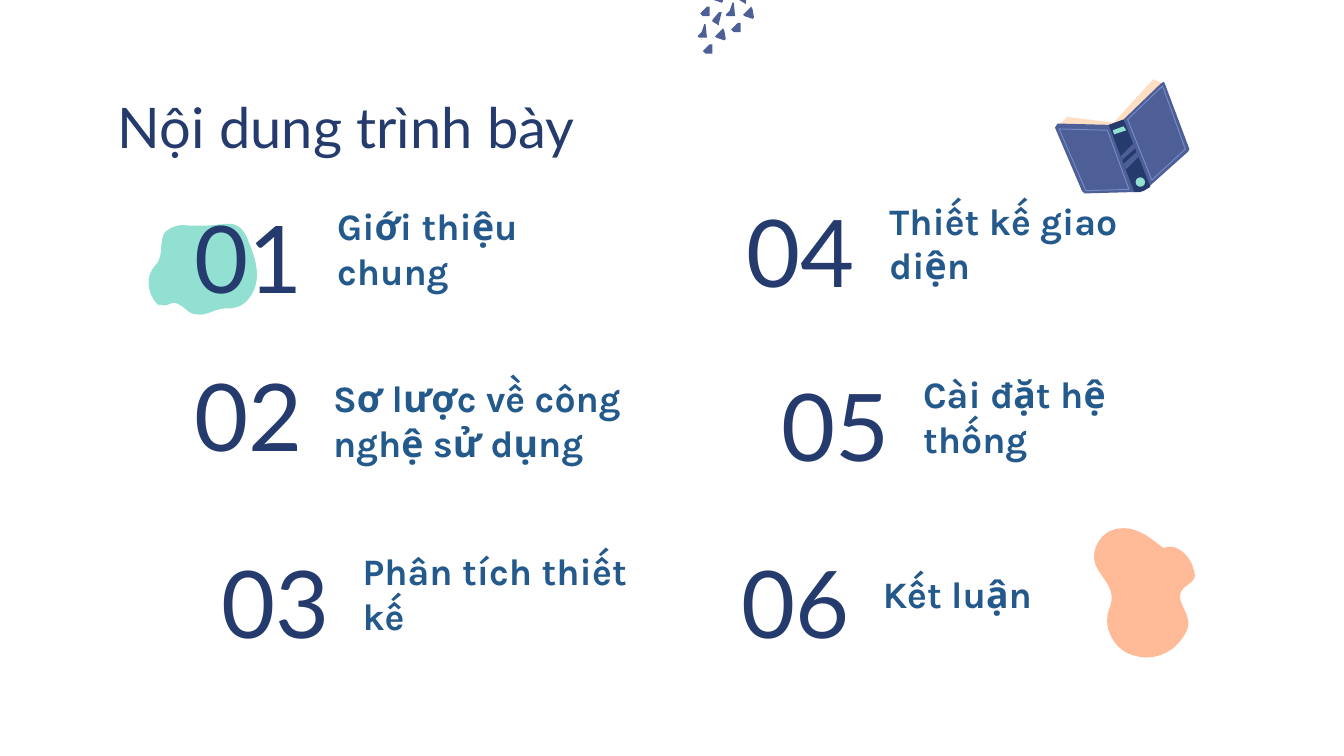
from dataclasses import dataclass

from pptx import Presentation
from pptx.dml.color import RGBColor
from pptx.enum.shapes import MSO_SHAPE
from pptx.enum.text import MSO_ANCHOR, MSO_AUTO_SIZE, PP_ALIGN
from pptx.util import Cm, Pt

Point = tuple[float, float]

NAVY, BLUE, INDIGO, STITCH = "253B6E", "24598B", "4E5F97", "758AC6"
MINT, PEACH, CREAM = "91E0D2", "FFBB98", "FFDEC4"


@dataclass(frozen=True)
class TextStyle:
    font: str
    size: int
    color: str
    bold: bool = False
    align: PP_ALIGN = PP_ALIGN.LEFT
    anchor: MSO_ANCHOR = MSO_ANCHOR.TOP
    space_after: int = 0


@dataclass(frozen=True)
class Topic:
    number: str
    label: str
    left: float
    top: float
    label_dx: float = 1.5
    label_dy: float = 0.23
    label_height: float = 0.47


@dataclass(frozen=True)
class Outline:
    points: list[Point]
    fill: str | None = None
    line: str | None = None


@dataclass(frozen=True)
class Confetti:
    corners: list[Point]
    places: list[Point]


TITLE = TextStyle("Lato", 30, NAVY)
NUMBER = TextStyle("Lato", 50, NAVY, align=PP_ALIGN.RIGHT, anchor=MSO_ANCHOR.BOTTOM)
LABEL = TextStyle("Karla", 20, BLUE, bold=True, anchor=MSO_ANCHOR.MIDDLE, space_after=16)

TOPICS = [
    Topic("01", "Giới thiệu chung", 0.91, 1.38),
    Topic("02", "Sơ lược về công nghệ sử dụng", 0.91, 2.56, 1.47, 0.16, 0.81),
    Topic("03", "Phân tích thiết kế", 1.11, 3.95, 1.49),
    Topic("04", "Thiết kế giao diện", 5.02, 1.34),
    Topic("05", "Cài đặt hệ thống", 5.28, 2.63, 1.49),
    Topic("06", "Kết luận", 4.98, 3.95, 1.49),
]

CONFETTI = [
    Confetti([(0, 0.09), (0.03, 0.06), (0.05, 0), (0.06, 0), (0.07, 0.1), (0.01, 0.1)],
             [(5.19, 0.18), (5.4, 0.02)]),
    Confetti([(0, 0.06), (0.06, 0), (0.07, 0.02), (0.08, 0.08), (0.07, 0.09), (0.01, 0.07)],
             [(5.32, 0.21), (5.53, 0.05), (5.3, -0.07)]),
    Confetti([(0, 0.06), (0.05, 0.01), (0.07, 0.01), (0.07, 0.08), (0.02, 0.08)],
             [(5.23, 0.32), (5.44, 0.16), (5.21, 0.04)]),
    Confetti([(0, 0.06), (0.05, 0), (0.07, 0), (0.05, 0.08), (0.05, 0.1), (0, 0.07)],
             [(5.3, 0.09), (5.5, -0.07)]),
]

BOOK = [
    Outline([(8.28, 0.92), (8.58, 0.59), (8.65, 0.62), (8.38, 0.92)], CREAM),
    Outline([(8.35, 0.92), (7.94, 0.87), (7.87, 0.94), (8.31, 0.96)], CREAM),
    Outline([(8.64, 0.62), (8.36, 0.89), (8.25, 0.93), (7.87, 0.92), (7.85, 0.95), (8.05, 1.42),
             (8.07, 1.44), (8.44, 1.43), (8.51, 1.42), (8.56, 1.38), (8.84, 1.13), (8.85, 1.11),
             (8.67, 0.63), (8.66, 0.61)], INDIGO),
    Outline([(8.4, 1.41), (8.08, 1.42), (7.88, 0.96), (8.24, 0.97)], line=STITCH),
    Outline([(8.36, 0.89), (8.25, 0.93), (8.44, 1.43), (8.48, 1.43), (8.51, 1.42), (8.56, 1.39)], NAVY),
    Outline([(8.28, 0.97), (8.36, 0.94), (8.38, 0.97), (8.29, 1)], MINT),
    Outline([(8.35, 1.19), (8.45, 1.1), (8.43, 1.07), (8.34, 1.16)], INDIGO),
    Outline([(8.38, 1.26), (8.47, 1.17), (8.46, 1.13), (8.36, 1.22)], INDIGO),
    Outline([(8.57, 1.34), (8.39, 0.89), (8.65, 0.64), (8.82, 1.11)], line=STITCH),
]

MINT_BLOB = [
    (1.19, 2.28), (1.11, 2.22), (1.08, 2.09), (1.13, 2.01), (1.15, 1.98), (1.17, 1.96), (1.18, 1.94),
    (1.21, 1.88), (1.19, 1.8), (1.22, 1.74), (1.24, 1.71), (1.28, 1.69), (1.32, 1.68),
    (1.36, 1.67), (1.4, 1.68), (1.44, 1.68), (1.5, 1.68), (1.57, 1.68), (1.63, 1.67),
    (1.67, 1.67), (1.71, 1.66), (1.74, 1.67), (1.8, 1.69), (1.83, 1.74), (1.85, 1.8),
    (1.89, 1.89), (1.92, 1.99), (1.91, 2.08), (1.9, 2.18), (1.83, 2.28), (1.74, 2.29),
    (1.71, 2.3), (1.68, 2.29), (1.64, 2.3), (1.58, 2.31), (1.53, 2.35), (1.47, 2.34),
    (1.43, 2.34), (1.4, 2.32), (1.37, 2.29), (1.34, 2.27), (1.3, 2.24), (1.27, 2.26),
    (1.26, 2.26), (1.25, 2.27), (1.24, 2.27), (1.22, 2.28), (1.19, 2.26), (1.18, 2.27),
]
PEACH_BLOB = [
    (8.84, 4.62), (8.83, 4.54), (8.75, 4.46), (8.79, 4.4), (8.82, 4.35), (8.88, 4.34), (8.89, 4.29),
    (8.89, 4.27), (8.89, 4.25), (8.88, 4.24), (8.87, 4.18), (8.83, 4.13), (8.79, 4.1),
    (8.75, 4.07), (8.7, 4.06), (8.66, 4.08), (8.6, 4.04), (8.55, 3.99), (8.48, 3.96),
    (8.4, 3.92), (8.3, 3.92), (8.23, 3.97), (8.16, 4.02), (8.12, 4.12), (8.15, 4.2),
    (8.18, 4.28), (8.26, 4.34), (8.27, 4.43), (8.28, 4.48), (8.25, 4.53), (8.24, 4.58),
    (8.22, 4.71), (8.31, 4.85), (8.44, 4.88), (8.57, 4.92), (8.71, 4.87), (8.79, 4.76),
    (8.82, 4.72), (8.85, 4.67), (8.84, 4.62),
]


def length(inches: float) -> Cm:
    """Turn inches into a slide length."""
    return Cm(inches * 2.54)


def color(value: str) -> RGBColor:
    """Turn a hex string into a colour."""
    return RGBColor.from_string(value)


def paint(shape, fill: str | None, line: str | None = None) -> None:
    """Set fill and line of a shape and drop its shadow."""
    shape.shadow.inherit = False
    if fill:
        shape.fill.solid()
        shape.fill.fore_color.rgb = color(fill)
    else:
        shape.fill.background()
    if line:
        shape.line.color.rgb = color(line)
        shape.line.width = Pt(0.5)
    else:
        shape.line.fill.background()


def draw_outline(page, outline: Outline) -> None:
    """Draw a closed polygon."""
    start, *rest = [(length(x), length(y)) for x, y in outline.points]
    builder = page.shapes.build_freeform(*start)
    builder.add_line_segments(rest, close=True)
    paint(builder.convert_to_shape(), outline.fill, outline.line)


def smooth(controls: list[Point], steps: int = 8) -> list[Point]:
    """Sample a chain of cubic curves given by its control points."""
    points = [controls[0]]
    for first in range(0, len(controls) - 1, 3):
        segment = controls[first:first + 4]
        for step in range(1, steps + 1):
            t = step / steps
            weights = ((1 - t) ** 3, 3 * t * (1 - t) ** 2, 3 * t * t * (1 - t), t ** 3)
            points.append(tuple(sum(w * p[axis] for w, p in zip(weights, segment)) for axis in (0, 1)))
    return points


def draw_text(page, text: str, left: float, top: float, width: float, height: float, style: TextStyle) -> None:
    """Draw one paragraph in a text box."""
    box = page.shapes.add_textbox(length(left), length(top), length(width), length(height))
    frame = box.text_frame
    frame.word_wrap = True
    frame.auto_size = MSO_AUTO_SIZE.NONE
    frame.vertical_anchor = style.anchor
    frame.margin_left = frame.margin_right = frame.margin_top = frame.margin_bottom = length(0.1)
    para = frame.paragraphs[0]
    para.text = text
    para.alignment = style.align
    para.space_after = Pt(style.space_after)
    para.font.name = style.font
    para.font.size = Pt(style.size)
    para.font.bold = style.bold
    para.font.color.rgb = color(style.color)


def draw_topic(page, topic: Topic) -> None:
    """Draw the number of a topic and its label."""
    draw_text(page, topic.number, topic.left, topic.top, 1.44, 1.04, NUMBER)
    draw_text(page, topic.label, topic.left + topic.label_dx, topic.top + topic.label_dy,
              2.37, topic.label_height, LABEL)


def main() -> None:
    """Build the contents slide."""
    deck = Presentation()
    deck.slide_width, deck.slide_height = Cm(25.4), Cm(14.29)
    page = deck.slides.add_slide(deck.slide_layouts[6])
    for piece in CONFETTI:
        for left, top in piece.places:
            draw_outline(page, Outline([(left + x, top + y) for x, y in piece.corners], INDIGO))
    for outline in BOOK:
        draw_outline(page, outline)
    dot = page.shapes.add_shape(MSO_SHAPE.OVAL, length(8.45), length(1.32), length(0.07), length(0.07))
    paint(dot, MINT)
    draw_outline(page, Outline(smooth(MINT_BLOB), MINT))
    draw_outline(page, Outline(smooth(PEACH_BLOB), PEACH))
    draw_text(page, "Nội dung trình bày", 0.78, 0.59, 8.44, 0.52, TITLE)
    for topic in TOPICS:
        draw_topic(page, topic)
    deck.save("out.pptx")


if __name__ == "__main__":
    main()
